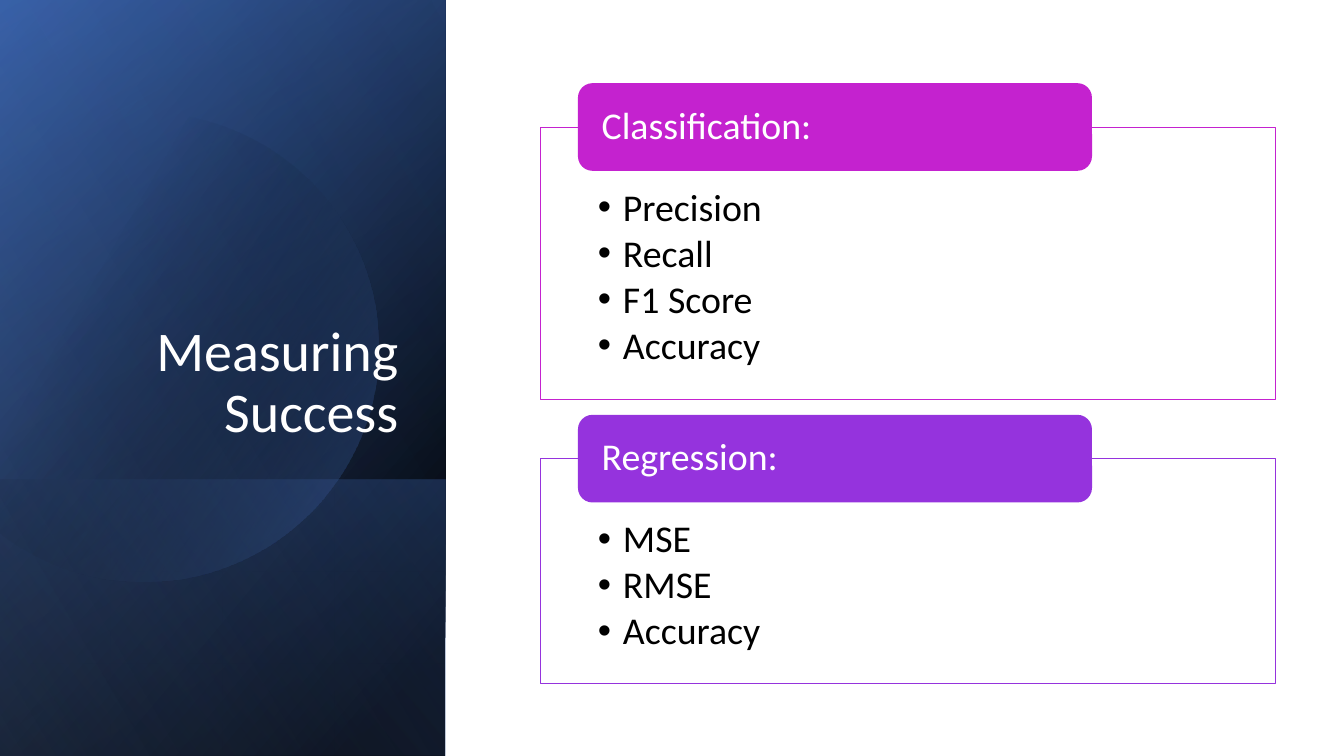
import math
from dataclasses import dataclass

import lxml.etree
import pptx
import pptx.dml.color
import pptx.enum.shapes
import pptx.enum.text
import pptx.oxml
import pptx.oxml.ns
import pptx.util

SLIDE_WIDTH = pptx.util.Inches(13.33)
SLIDE_HEIGHT = pptx.util.Inches(7.5)
FONT = "Calibri"
WHITE, BLACK = "FFFFFF", "000000"
BLUE, DEEP_BLUE, PALE_BLUE = "4472C4", "2F5597", "8FAADC"
PANEL_COLUMNS = 33.15

# Lengths are columns and rows of a grid of 100 by 100 over the slide.
FRAME_LEFT, FRAME_WIDTH, FIRST_FRAME_TOP = 40.2, 54.7, 16.8
FRAME_BASE_ROWS, ITEM_ROWS, FRAME_GAP = 10.92, 6.27, 7.87
HEADER_LEFT, HEADER_WIDTH, HEADER_HEIGHT = 43, 38.25, 11.6


@dataclass(frozen=True)
class Stop:
    position: int
    colour: str
    opacity: int = 100


@dataclass(frozen=True)
class PanelLayer:
    top: float
    height: float
    angle: int
    stops: tuple[Stop, ...]


@dataclass(frozen=True)
class MetricGroup:
    heading: str
    colour: str
    metrics: tuple[str, ...]


BASE_LAYERS = (
    PanelLayer(0, 100, 50, (Stop(8, BLACK), Stop(100, DEEP_BLUE))),
    PanelLayer(0, 100, 30, (Stop(0, BLACK, 0), Stop(99, BLUE, 46))),
    PanelLayer(63.47, 36.53, 130, (Stop(2, BLUE, 29), Stop(100, BLACK, 30))),
)
TOP_LAYER = PanelLayer(0, 100, 120, (Stop(0, BLACK, 0), Stop(99, PALE_BLUE, 11)))
GROUPS = (
    MetricGroup("Classification:", "C422CF", ("Precision", "Recall", "F1 Score", "Accuracy")),
    MetricGroup("Regression:", "9533DD", ("MSE", "RMSE", "Accuracy")),
)


def columns(count: float) -> int:
    return round(SLIDE_WIDTH * count / 100)


def rows(count: float) -> int:
    return round(SLIDE_HEIGHT * count / 100)


def rgb(colour: str) -> pptx.dml.color.RGBColor:
    return pptx.dml.color.RGBColor.from_string(colour)


def fill_gradient(shape, angle: int, stops: tuple[Stop, ...]) -> None:
    """Replace the fill with a linear gradient whose stops have opacity."""
    shape.shadow.inherit = False
    shape.line.fill.background()
    shape.fill.background()
    stop_xml = "".join(
        f'<a:gs pos="{stop.position * 1000}"><a:srgbClr val="{stop.colour}">'
        f'<a:alpha val="{stop.opacity * 1000}"/></a:srgbClr></a:gs>'
        for stop in stops
    )
    gradient = pptx.oxml.parse_xml(
        f'<a:gradFill {pptx.oxml.ns.nsdecls("a")} rotWithShape="1"><a:gsLst>{stop_xml}</a:gsLst>'
        f'<a:lin ang="{angle * 60000}" scaled="0"/></a:gradFill>'
    )
    properties = shape._element.spPr
    properties.replace(properties.find(pptx.oxml.ns.qn("a:noFill")), gradient)


def add_panel_layer(slide, layer: PanelLayer) -> None:
    """Draw a mirrored rectangle, turned a quarter, across the left panel."""
    width, height = columns(PANEL_COLUMNS), rows(layer.height)
    shift = (width - height) // 2
    shape = slide.shapes.add_shape(
        pptx.enum.shapes.MSO_SHAPE.RECTANGLE, shift, rows(layer.top) - shift, height, width
    )
    shape.rotation = 90
    shape._element.spPr.find(pptx.oxml.ns.qn("a:xfrm")).set("flipH", "1")
    fill_gradient(shape, layer.angle, layer.stops)


def add_panel_circle(slide) -> None:
    """Draw a circle that is cut off at the left edge of the slide."""
    centre_x, centre_y, radius = columns(10.65), rows(45.9), rows(31.07)
    limit = math.acos(-centre_x / radius)
    steps = 120
    angles = [limit * (2 * step / steps - 1) for step in range(steps + 1)]
    points = [
        (round(centre_x + radius * math.cos(angle)), round(centre_y + radius * math.sin(angle)))
        for angle in angles
    ]
    builder = slide.shapes.build_freeform(*points[0], scale=1.0)
    builder.add_line_segments(points[1:], close=True)
    fill_gradient(builder.convert_to_shape(), 30, (Stop(29, BLACK, 0), Stop(100, BLUE, 43)))


def add_run(paragraph, text: str, size: float, colour: str) -> None:
    run = paragraph.add_run()
    run.text = text
    run.font.name = FONT
    run.font.size = pptx.util.Pt(size)
    run.font.color.rgb = rgb(colour)
    paragraph.line_spacing = 0.9


def add_bullet(paragraph) -> None:
    properties = paragraph._p.get_or_add_pPr()
    indent = pptx.util.Inches(0.25)
    properties.set("marL", str(indent))
    properties.set("indent", str(-indent))
    font = lxml.etree.SubElement(properties, pptx.oxml.ns.qn("a:buFont"))
    font.set("typeface", "Arial")
    bullet = lxml.etree.SubElement(properties, pptx.oxml.ns.qn("a:buChar"))
    bullet.set("char", "•")


def set_frame(shape, anchor, side: float, top: float, bottom: float):
    """Set anchor and insets, given in columns and rows, and return the text frame."""
    frame = shape.text_frame
    frame.word_wrap = True
    frame.vertical_anchor = anchor
    frame.margin_left = frame.margin_right = columns(side)
    frame.margin_top, frame.margin_bottom = rows(top), rows(bottom)
    return frame


def add_title(slide) -> None:
    box = slide.shapes.add_textbox(columns(4.8), rows(24.53), columns(25.58), rows(34.93))
    frame = set_frame(box, pptx.enum.text.MSO_ANCHOR.BOTTOM, 0.75, 0.67, 0.67)
    paragraph = frame.paragraphs[0]
    paragraph.alignment = pptx.enum.text.PP_ALIGN.RIGHT
    add_run(paragraph, "Measuring Success", 40, WHITE)


def add_metric_group(slide, group: MetricGroup, top: float) -> float:
    """Draw a framed list with its header and return the frame's height in rows."""
    height = FRAME_BASE_ROWS + ITEM_ROWS * len(group.metrics)
    box = slide.shapes.add_shape(
        pptx.enum.shapes.MSO_SHAPE.RECTANGLE,
        columns(FRAME_LEFT), rows(top), columns(FRAME_WIDTH), rows(height),
    )
    box.shadow.inherit = False
    box.fill.solid()
    box.fill.fore_color.rgb = rgb(WHITE)
    box.line.color.rgb = rgb(group.colour)
    box.line.width = pptx.util.Pt(0.5)
    frame = set_frame(box, pptx.enum.text.MSO_ANCHOR.TOP, 4.28, 8.13, 2.8)
    for index, metric in enumerate(group.metrics):
        paragraph = frame.add_paragraph() if index else frame.paragraphs[0]
        paragraph.alignment = pptx.enum.text.PP_ALIGN.LEFT
        add_run(paragraph, metric, 27, BLACK)
        paragraph.space_after = pptx.util.Pt(3.7)
        add_bullet(paragraph)

    header = slide.shapes.add_shape(
        pptx.enum.shapes.MSO_SHAPE.ROUNDED_RECTANGLE,
        columns(HEADER_LEFT), rows(top - HEADER_HEIGHT / 2),
        columns(HEADER_WIDTH), rows(HEADER_HEIGHT),
    )
    header.shadow.inherit = False
    header.fill.solid()
    header.fill.fore_color.rgb = rgb(group.colour)
    header.line.fill.background()
    frame = set_frame(header, pptx.enum.text.MSO_ANCHOR.MIDDLE, 1.45, 0, 0)
    frame.paragraphs[0].alignment = pptx.enum.text.PP_ALIGN.LEFT
    add_run(frame.paragraphs[0], group.heading, 27, WHITE)
    return height


def main() -> None:
    presentation = pptx.Presentation()
    presentation.slide_width, presentation.slide_height = SLIDE_WIDTH, SLIDE_HEIGHT
    slide = presentation.slides.add_slide(presentation.slide_layouts[6])
    for layer in BASE_LAYERS:
        add_panel_layer(slide, layer)
    add_panel_circle(slide)
    add_panel_layer(slide, TOP_LAYER)
    add_title(slide)
    top = FIRST_FRAME_TOP
    for group in GROUPS:
        top += add_metric_group(slide, group, top) + FRAME_GAP
    presentation.save("out.pptx")


if __name__ == "__main__":
    main()
